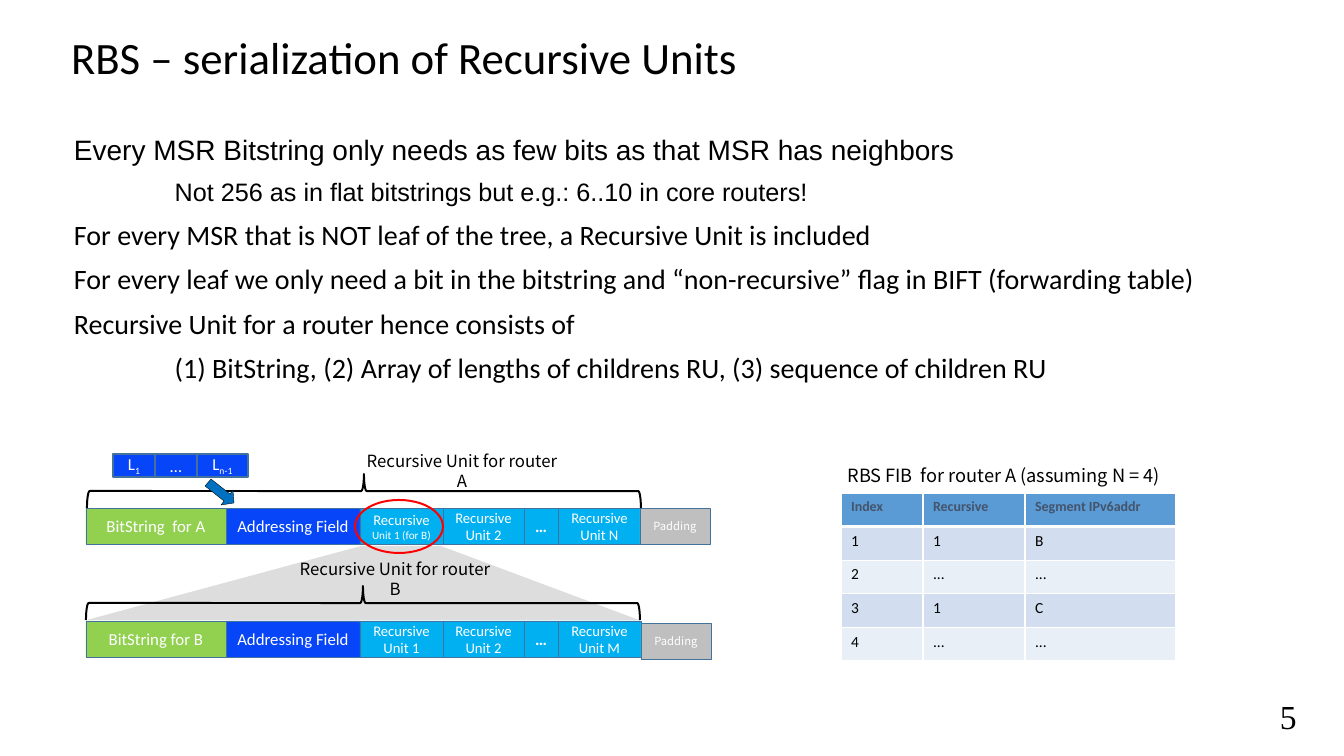
from pptx import Presentation
from pptx import util as u
from pptx.dml.color import RGBColor
from pptx.enum import shapes, text
from pptx.oxml import parse_xml
from pptx.oxml.ns import nsdecls

PX = 914400 / 100.8
SANS, CJK = "Calibri", "Noto Sans CJK SC"
GREEN, BLUE, CYAN, GREY = "92D050", "0645F8", "00B0F0", "BFBFBF"
EDGE = "43729D"

BULLETS = [
    ("Every MSR Bitstring only needs as few bits as that MSR has neighbors", 20, "Arial", 0),
    ("Not 256 as in flat bitstrings but e.g.: 6..10 in core routers!", 18, "Arial", 1),
    ("For every MSR that is NOT leaf of the tree, a Recursive Unit is included", 20, SANS, 0),
    ("For every leaf we only need a bit in the bitstring and “non-recursive” flag in BIFT "
     "(forwarding table)", 20, SANS, 0),
    ("Recursive Unit for a router hence consists of", 20, SANS, 0),
    ("(1) BitString, (2) Array of lengths of childrens RU, (3) sequence of children RU",
     20, SANS, 1),
]
FIB = [
    ("Index", "Recursive", "Segment IPv6addr"),
    ("1", "1", "B"),
    ("2", "...", "..."),
    ("3", "1", "C"),
    ("4", "...", "..."),
]


def px(*values):
    """Turn picture pixels into EMU."""
    return [u.Emu(round(v * PX)) for v in values]


def rgb(value):
    """Turn a hex string into a colour."""
    return RGBColor.from_string(value)


def set_font(font, size, name, color="000000", bold=False):
    """Set the usual font properties."""
    font.size, font.name, font.bold = u.Pt(size), name, bold
    font.color.rgb = rgb(color)


def paint(sp, fill=None, line=None, width=0.25):
    """Give a shape its fill and line, and no shadow."""
    sp.shadow.inherit = False
    if fill:
        sp.fill.solid()
        sp.fill.fore_color.rgb = rgb(fill)
    else:
        sp.fill.background()
    if line:
        sp.line.color.rgb = rgb(line)
        sp.line.width = u.Pt(width)
    else:
        sp.line.fill.background()


def add_preset(s, kind, box, fill=None, line=None, width=0.25):
    """Add a painted preset shape."""
    sp = s.shapes.add_shape(kind, *px(*box))
    paint(sp, fill, line, width)
    return sp


def add_field(s, box, label, fill, size=12, name=SANS, bold=False, sub="", small="", width=0.25):
    """Add one labelled field of a packet, with an optional subscript or small text."""
    sp = add_preset(s, shapes.MSO_SHAPE.RECTANGLE, box, fill, EDGE, width)
    sp.text_frame.vertical_anchor = text.MSO_ANCHOR.MIDDLE
    p = sp.text_frame.paragraphs[0]
    p.alignment = text.PP_ALIGN.CENTER
    set_font(p.font, size, name, "FFFFFF", bold)
    p.add_run().text = label
    if sub:
        r = p.add_run()
        r.text = sub
        r.font._element.set("baseline", "-25000")
    if small:
        r = p.add_run()
        r.text = small
        r.font.size = u.Pt(8)


def add_unit(s, y, fields, padding):
    """Add a row of packet fields, each ending where the next begins."""
    lefts = [86, 226, 360, 443, 524, 558, 641]
    for left, right, options in zip(lefts, lefts[1:], fields):
        add_field(s, (left, y, right - left, 36), **options)
    add_field(s, padding, "Padding", GREY, 8, CJK)


def unit_fields(router, first, last):
    """Describe the fields of the recursive unit for a router."""
    return [
        dict(label=router, fill=GREEN),
        dict(label="Addressing Field", fill=BLUE),
        dict(fill=CYAN, size=10.5, **first),
        dict(label="Recursive Unit 2", fill=CYAN, size=10.5),
        dict(label="…", fill=CYAN, bold=True),
        dict(label=last, fill=CYAN, size=10.5),
    ]


def add_brace(s, x, y):
    """Add a brace that lies over a recursive unit."""
    sp = add_preset(s, shapes.MSO_SHAPE.RIGHT_BRACE, (x, y, 34, 554), None, "000000", 1.42)
    sp.rotation = 270
    sp.adjustments[0] = 0.08


def add_outline(s, points, fill, line=None, width=0.25):
    """Add a closed polygon."""
    builder = s.shapes.build_freeform(*points[0], scale=PX)
    builder.add_line_segments(points[1:], close=True)
    paint(builder.convert_to_shape(), fill, line, width)


def add_label(s, box, label, size, name=CJK, align=text.PP_ALIGN.CENTER, wrap=True):
    """Add a plain text label."""
    tf = s.shapes.add_textbox(*px(*box)).text_frame
    tf.word_wrap = wrap
    p = tf.paragraphs[0]
    p.text, p.alignment = label, align
    set_font(p.font, size, name)


def add_title(s, title):
    """Fill and place the title placeholder."""
    sp = s.shapes.title
    sp.left, sp.top, sp.width, sp.height = px(61, 26, 1159, 67)
    sp.text_frame.vertical_anchor = text.MSO_ANCHOR.MIDDLE
    p = sp.text_frame.paragraphs[0]
    p.text, p.alignment, p.line_spacing = title, text.PP_ALIGN.LEFT, 0.9
    set_font(p.font, 32, SANS)


def add_body(s):
    """Add the statements, with the details indented by an inch."""
    tf = s.shapes.add_textbox(*px(64, 131, 1254, 554)).text_frame
    tf.word_wrap = True
    for i, (line, size, name, level) in enumerate(BULLETS):
        p = tf.add_paragraph() if i else tf.paragraphs[0]
        p.text, p.line_spacing = line, 0.9
        p.space_before = u.Pt(10 if i else 0)
        p._p.get_or_add_pPr().set("marL", str(u.Inches(level)))
        set_font(p.font, size, name)


def set_borders(cell, row):
    """Give a cell white borders, thick under the header row."""
    thick = {"T": row == 1, "B": row == 0}
    for side in "LRTB":
        width = u.Pt(3 if thick.get(side) else 0.96)
        cell._tc.get_or_add_tcPr().append(parse_xml(
            f'<a:ln{side} {nsdecls("a")} w="{width}"><a:solidFill>'
            f'<a:srgbClr val="FFFFFF"/></a:solidFill></a:ln{side}>'))


def add_fib(s):
    """Add the forwarding table."""
    table = s.shapes.add_table(5, 3, *px(841, 493, 335, 168)).table
    for column, width in zip(table.columns, px(82, 102, 151)):
        column.width = width
    for i, values in enumerate(FIB):
        for j, value in enumerate(values):
            cell = table.cell(i, j)
            set_borders(cell, i)
            cell.fill.solid()
            cell.fill.fore_color.rgb = rgb("5B9BD5" if i == 0 else "D2DEEF" if i % 2 else "E9EFF7")
            p = cell.text_frame.paragraphs[0]
            p.text = value
            if i:
                set_font(p.font, 11, SANS)
            else:
                set_font(p.font, 10, SANS, "44546A", True)


def main():
    """Build the slide."""
    prs = Presentation()
    prs.slide_width, prs.slide_height = px(1344, 756)
    s = prs.slides.add_slide(prs.slide_layouts[5])
    add_title(s, "RBS – serialization of Recursive Units")
    add_body(s)
    add_outline(s, [(87, 620), (639, 620), (441, 546), (361, 546)], "DDDDDD")
    first = dict(label="Recursive ", small="Unit 1 (for B)")
    add_unit(s, 508, unit_fields("BitString  for A", first, "Recursive Unit N"), (640, 508, 70, 36))
    first = dict(label="Recursive Unit 1")
    add_unit(s, 621, unit_fields("BitString for B", first, "Recursive Unit M"), (641, 623, 70, 36))
    for x, width, label, sub in [(113, 42, "L", "1"), (155, 42, "…", ""), (197, 51, "L", "n-1")]:
        add_field(s, (x, 454, width, 23), label, BLUE, sub=sub, width=1)
    add_brace(s, 347, 214)
    add_brace(s, 346, 326)
    add_label(s, (353, 446, 218, 30), "Recursive Unit for router A", 12)
    add_label(s, (286, 554, 218, 30), "Recursive Unit for router B", 12)
    add_preset(s, shapes.MSO_SHAPE.OVAL, (355, 500, 88, 53), None, "FF0000", 1.42)
    add_outline(s, [(234, 503), (221, 505), (224, 501), (205, 486), (211, 479), (230, 494),
                    (233, 490)], "0070C0", "000000", 0.26)
    add_fib(s)
    add_label(s, (836, 459, 335, 31), "RBS FIB  for router A (assuming N = 4)", 13, wrap=False)
    add_label(s, (1270, 691, 42, 47), "5", 24, "Times New Roman", text.PP_ALIGN.LEFT)
    prs.save("out.pptx")


main()
